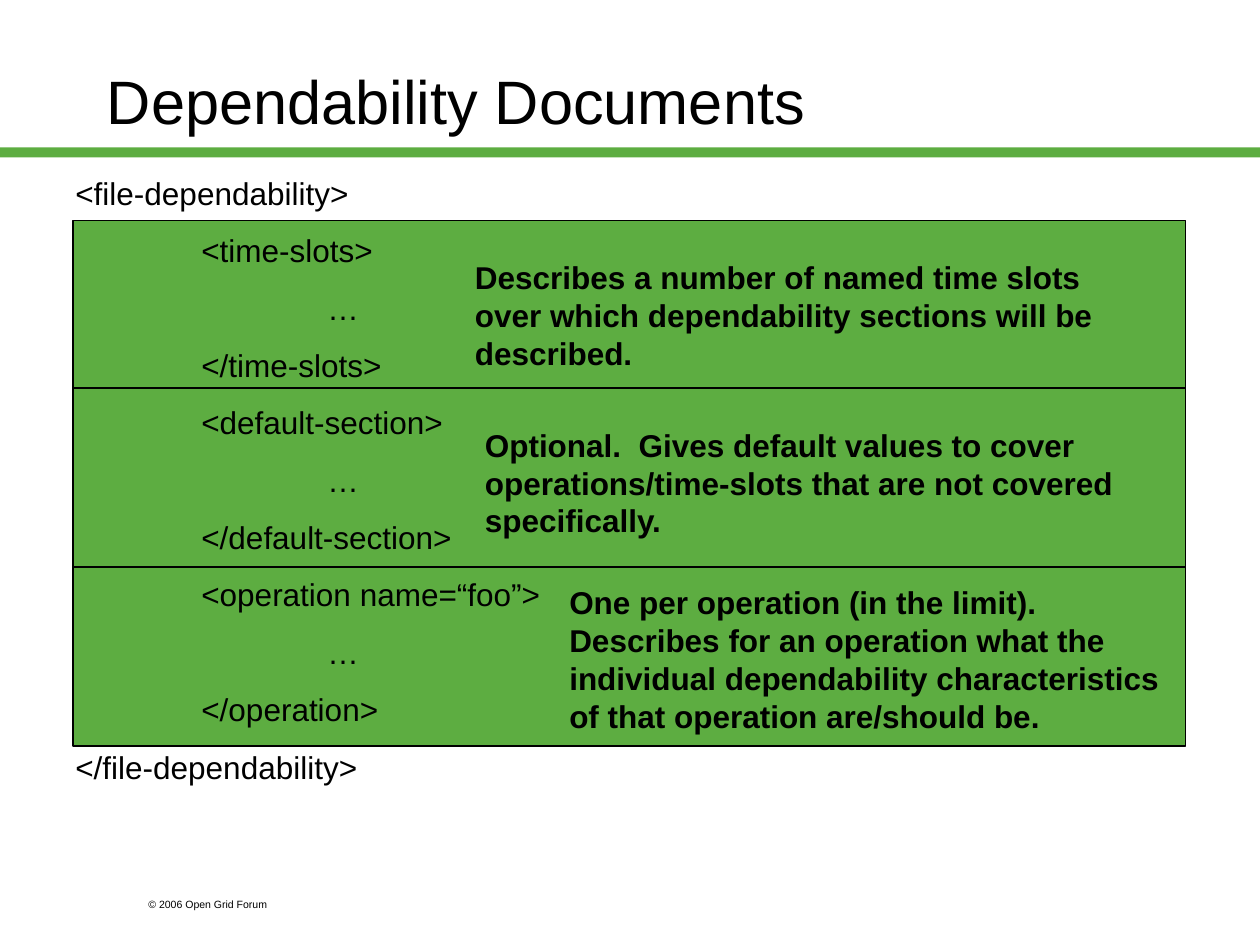
from dataclasses import dataclass

from lxml import etree
from pptx import Presentation
from pptx.dml.color import RGBColor
from pptx.enum.shapes import MSO_SHAPE
from pptx.enum.text import MSO_ANCHOR
from pptx.oxml.ns import qn
from pptx.util import Inches, Pt

RECT = MSO_SHAPE.RECTANGLE
TOP, MIDDLE = MSO_ANCHOR.TOP, MSO_ANCHOR.MIDDLE


@dataclass(frozen=True)
class Theme:
    font: str = "Arial"
    ink: RGBColor = RGBColor(0, 0, 0)
    green: RGBColor = RGBColor(0x5D, 0xAD, 0x41)
    title: Pt = Pt(35)
    body: Pt = Pt(18)
    small: Pt = Pt(6)
    gap: Pt = Pt(11.2)
    edge: Pt = Pt(0.75)


THEME = Theme()

LINES = [
    "<file-dependability>",
    "\t<time-slots>",
    "\t\t…",
    "\t</time-slots>",
    "\t<default-section>",
    "\t\t…",
    "\t</default-section>",
    "\t<operation name=“foo”>",
    "\t\t…",
    "\t</operation>",
    "</file-dependability>",
]

# Panel height, then the note's box within the panel and its wording
PANELS = [
    (1.33, (3.09, 0.25, 5.58, 1),
     "Describes a number of named time slots over which dependability "
     "sections will be described."),
    (1.42, (3.17, 0.25, 5.33, 1),
     "Optional.  Gives default values to cover operations/time-slots that "
     "are not covered specifically."),
    (1.42, (3.84, 0.08, 5.17, 1.3),
     "One per operation (in the limit).  Describes for an operation what the "
     "individual dependability characteristics of that operation are/should be."),
]


def set_tabs(para):
    """Put left tab stops at one and two inches."""
    tabs = etree.SubElement(para._p.get_or_add_pPr(), qn("a:tabLst"))
    for stop in (1, 2):
        etree.SubElement(tabs, qn("a:tab"), pos=str(Inches(stop)), algn="l")


def add_text(shapes, box, lines, size, bold=False, anchor=TOP):
    frame = shapes.add_textbox(*map(Inches, box)).text_frame
    frame.word_wrap = True
    frame.vertical_anchor = anchor
    for i, line in enumerate(lines):
        para = frame.paragraphs[0] if i == 0 else frame.add_paragraph()
        para.text = line
        if i:
            para.space_before = THEME.gap
        if "\t" in line:
            set_tabs(para)
        font = para.font
        font.name, font.size, font.bold = THEME.font, size, bold
        font.color.rgb = THEME.ink


def add_bar(shapes, box, edge=False):
    bar = shapes.add_shape(RECT, *map(Inches, box))
    bar.shadow.inherit = False
    bar.fill.solid()
    bar.fill.fore_color.rgb = THEME.green
    if edge:
        bar.line.color.rgb = THEME.ink
        bar.line.width = THEME.edge
    else:
        bar.line.fill.background()


def add_head(slide, box):
    left, top, width, height = box
    add_bar(slide.shapes, (left, top + 1.17, width, 0.08))
    add_text(slide.shapes, (left + 0.75, top + 0.17, 8.5, height),
             ["Dependability Documents"], THEME.title, anchor=MIDDLE)


def add_panel(slide, box, note, text):
    left, top = box[:2]
    x, y, width, height = note
    group = slide.shapes.add_group_shape()
    add_bar(group.shapes, box, edge=True)
    add_text(group.shapes, (left + x, top + y, width, height),
             [text], THEME.body, bold=True)


def add_body(slide, box):
    left, top, width, height = box
    y = top + 0.42
    for tall, note, text in PANELS:
        add_panel(slide, (left + 0.08, y, 8.83, tall), note, text)
        y += tall
    add_text(slide.shapes, box, LINES, THEME.body)


def add_foot(slide, box):
    add_text(slide.shapes, box, ["© 2006 Open Grid Forum"], THEME.small)


def main():
    deck = Presentation()
    deck.slide_width, deck.slide_height = Inches(10), Inches(7.5)
    slide = deck.slides.add_slide(deck.slide_layouts[6])
    add_head(slide, (0, 0, 10, 1.25))
    add_foot(slide, (1.08, 7.08, 1.5, 0.2))
    add_body(slide, (0.5, 1.33, 9, 4.97))
    deck.save("out.pptx")


if __name__ == "__main__":
    main()
